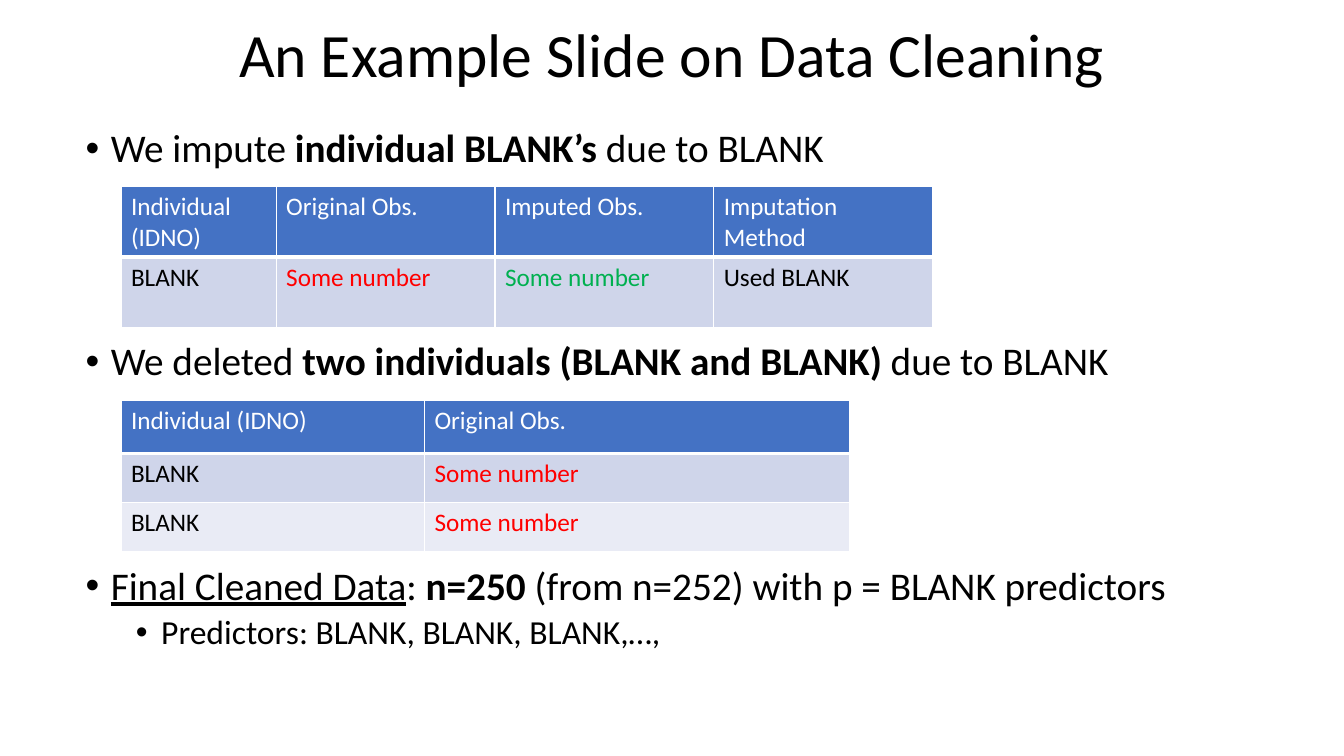
from lxml.etree import SubElement
from pptx import Presentation
from pptx.dml.color import RGBColor
from pptx.enum.text import MSO_ANCHOR, MSO_AUTO_SIZE, PP_ALIGN
from pptx.oxml.ns import qn
from pptx.util import Inches, Pt

COLORS = {
    "text": "000000",
    "white": "FFFFFF",
    "header": "4472C4",
    "band_dark": "CFD5EA",
    "band_light": "E9EBF5",
    "original": "FF0000",
    "imputed": "00B050",
}
FONT = "Calibri"
TITLE_ONLY = 5


def add_run(paragraph, text, size=28, color="text", bold=False, underline=False):
    run = paragraph.add_run()
    run.text = text
    font = run.font
    font.name, font.size = FONT, Pt(size)
    font.bold, font.underline = bold, underline
    font.color.rgb = RGBColor.from_string(COLORS[color])


def set_bullet(paragraph, left, hanging=0.25):
    properties = paragraph._p.get_or_add_pPr()
    properties.set("marL", str(Inches(left)))
    properties.set("indent", str(-Inches(hanging)))
    SubElement(properties, qn("a:buFont"), typeface="Arial")
    SubElement(properties, qn("a:buChar"), char="•")


def set_borders(cell, bottom):
    """Draw white cell edges, 1 pt wide except for the bottom one."""
    properties = cell._tc.get_or_add_tcPr()
    for side, width in (("L", 1), ("R", 1), ("T", 1), ("B", bottom)):
        line = SubElement(properties, qn(f"a:ln{side}"), w=str(Pt(width)))
        fill = SubElement(line, qn("a:solidFill"))
        SubElement(fill, qn("a:srgbClr"), val=COLORS["white"])


class SlideBuilder:
    """Adds elements to one slide; all lengths are percentages of its size."""

    def __init__(self, presentation):
        self.width = presentation.slide_width
        self.height = presentation.slide_height
        self.slide = presentation.slides.add_slide(
            presentation.slide_layouts[TITLE_ONLY])

    def across(self, share):
        return round(self.width * share / 100)

    def down(self, share):
        return round(self.height * share / 100)

    def box(self, left, top, width, height):
        return (self.across(left), self.down(top),
                self.across(width), self.down(height))

    def title(self, text, *place):
        shape = self.slide.shapes.title
        shape.left, shape.top, shape.width, shape.height = self.box(*place)
        frame = shape.text_frame
        frame.auto_size = MSO_AUTO_SIZE.NONE
        frame.vertical_anchor = MSO_ANCHOR.MIDDLE
        paragraph = frame.paragraphs[0]
        paragraph.alignment = PP_ALIGN.CENTER
        paragraph.line_spacing = 0.9
        add_run(paragraph, text, size=44)

    def bullets(self, items, *place):
        """Add bulleted text; each item is (level, space before, runs)."""
        frame = self.slide.shapes.add_textbox(*self.box(*place)).text_frame
        frame.word_wrap = True
        for index, (level, space_before, runs) in enumerate(items):
            paragraph = frame.add_paragraph() if index else frame.paragraphs[0]
            paragraph.level = level
            paragraph.line_spacing = 0.9
            paragraph.space_before = Pt(space_before)
            set_bullet(paragraph, 0.25 + 0.5 * level)
            for text, style in runs:
                add_run(paragraph, text, size=28 - 4 * level, **style)

    def table(self, left, top, columns, rows, texts, text_colors):
        """Add a banded table; text_colors gives the body colour by column."""
        place = self.box(left, top, sum(columns), sum(rows))
        table = self.slide.shapes.add_table(len(rows), len(columns), *place).table
        for column, width in zip(table.columns, columns):
            column.width = self.across(width)
        for row, height in zip(table.rows, rows):
            row.height = self.down(height)
        for row_index, row_texts in enumerate(texts):
            is_header = row_index == 0
            band = "band_dark" if row_index % 2 else "band_light"
            for column_index, text in enumerate(row_texts):
                cell = table.cell(row_index, column_index)
                set_borders(cell, bottom=3 if is_header else 1)
                cell.fill.solid()
                cell.fill.fore_color.rgb = RGBColor.from_string(
                    COLORS["header" if is_header else band])
                color = "white" if is_header else text_colors[column_index]
                add_run(cell.text_frame.paragraphs[0], text, size=18, color=color)


def main():
    presentation = Presentation()
    presentation.slide_width = Inches(13.33)
    presentation.slide_height = Inches(7.5)
    builder = SlideBuilder(presentation)
    plain, bold, underlined = {}, {"bold": True}, {"underline": True}

    builder.title("An Example Slide on Data Cleaning", 16.25, -0.67, 67.5, 16.67)
    # The wide spaces before the second and third points hold the tables.
    builder.bullets([
        (0, 0, [("We impute ", plain), ("individual BLANK’s ", bold),
                ("due to BLANK", plain)]),
        (0, 122, [("We deleted ", plain),
                  ("two individuals (BLANK and BLANK)", bold),
                  (" due to BLANK", plain)]),
        (0, 130, [("Final Cleaned Data", underlined), (": ", plain),
                  ("n=250 ", bold),
                  ("(from n=252) with p = BLANK predictors", plain)]),
        (1, 5, [("Predictors: BLANK, BLANK, BLANK,…,", plain)]),
    ], 5.63, 16.4, 90.17, 82)

    builder.table(
        9, 24.67, [11.55] + [16.28] * 3, [9.33] * 2,
        [["Individual (IDNO)", "Original Obs.", "Imputed Obs.", "Imputation Method"],
         ["BLANK", "Some number", "Some number", "Used BLANK"]],
        ["text", "original", "imputed", "text"])
    builder.table(
        9, 52.93, [22.58, 31.66], [7.07, 6.5, 6.5],
        [["Individual (IDNO)", "Original Obs."]] + [["BLANK", "Some number"]] * 2,
        ["text", "original"])
    presentation.save("out.pptx")


if __name__ == "__main__":
    main()
